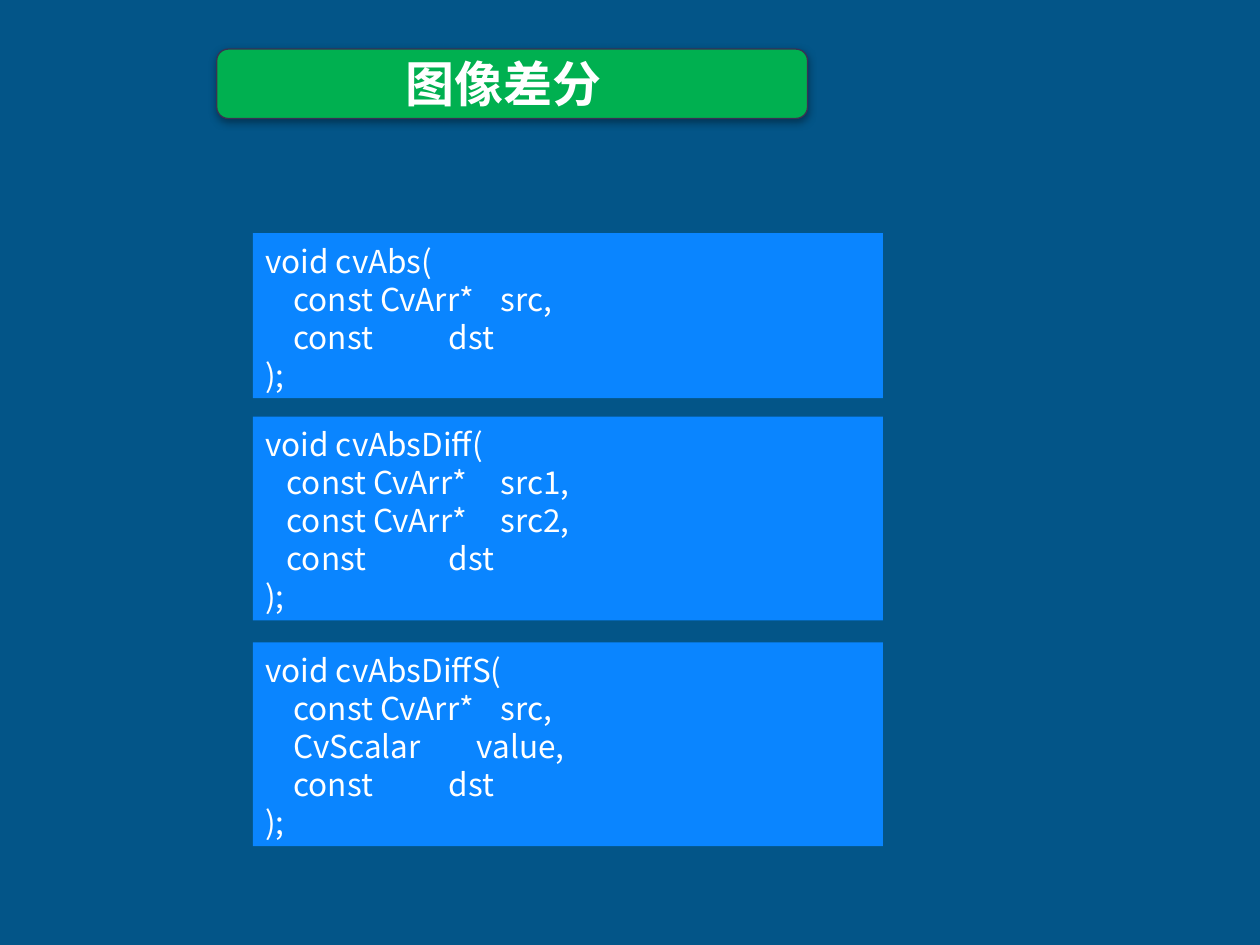
from lxml import etree
from pptx import Presentation
from pptx.dml.color import RGBColor
from pptx.enum.shapes import MSO_SHAPE
from pptx.enum.text import MSO_ANCHOR, PP_ALIGN
from pptx.oxml import parse_xml
from pptx.oxml.ns import nsdecls, qn
from pptx.util import Cm, Pt

RECT, ROUNDED = MSO_SHAPE.RECTANGLE, MSO_SHAPE.ROUNDED_RECTANGLE
TOP, MIDDLE = MSO_ANCHOR.TOP, MSO_ANCHOR.MIDDLE
LEFT, CENTER = PP_ALIGN.LEFT, PP_ALIGN.CENTER
FONT = "Noto Sans CJK SC"
BACKGROUND, GREEN, BLUE, WHITE = "035588", "00B050", "0A85FF", "FFFFFF"
OUTLINE = "3A3252"
SRC, DST, VALUE = 4.74, 3.7, 4.26

FUNCTIONS = [
    ("cvAbs", 4.7, 3.33, 0.57, [
        ("const CvArr*", "src,", SRC), ("const", "dst", DST)]),
    ("cvAbsDiff", 8.4, 4.11, 0.43, [
        ("const CvArr*", "src1,", SRC), ("const CvArr*", "src2,", SRC),
        ("const", "dst", DST)]),
    ("cvAbsDiffS", 12.95, 4.11, 0.57, [
        ("const CvArr*", "src,", SRC), ("CvScalar", "value,", VALUE),
        ("const", "dst", DST)]),
]


def color(value):
    return RGBColor.from_string(value)


def paint(s, value):
    s.fill.solid()
    s.fill.fore_color.rgb = color(value)


def add_run(p, text, size, bold=False):
    r = p.add_run()
    r.text = text
    values = {"name": FONT, "size": Pt(size), "bold": bold}
    for name, value in values.items():
        setattr(r.font, name, value)
    r.font.color.rgb = color(WHITE)
    etree.SubElement(r.font._element, qn("a:ea"), typeface=FONT)


def add_tabs(p, stops):
    tabs = etree.SubElement(p._p.get_or_add_pPr(), qn("a:tabLst"))
    for stop in stops:
        etree.SubElement(tabs, qn("a:tab"), pos=str(Cm(stop)), algn="l")


def add_box(s, kind, left, top, width, height, fill):
    sp = s.shapes.add_shape(kind, Cm(left), Cm(top), Cm(width), Cm(height))
    sp.shadow.inherit = False
    paint(sp, fill)
    sp.line.fill.background()
    return sp


def add_banner(s):
    sp = add_box(s, ROUNDED, 4.37, 0.99, 11.91, 1.4, GREEN)
    sp.line.color.rgb = color(OUTLINE)
    sp.line.width = Pt(0.75)
    effects = sp._element.spPr.find(qn("a:effectLst"))
    effects.append(parse_xml(
        f'<a:outerShdw {nsdecls("a")} blurRad="{Pt(5)}" dist="{Pt(1.6)}" '
        'dir="5400000" rotWithShape="0"><a:srgbClr val="000000">'
        '<a:alpha val="38000"/></a:srgbClr></a:outerShdw>'))


def add_title(s, text):
    sp = s.shapes.add_textbox(Cm(1.4), Cm(0.38), Cm(17.5), Cm(2.57))
    tf = sp.text_frame
    tf.word_wrap = True
    tf.vertical_anchor = MIDDLE
    p = tf.paragraphs[0]
    p.alignment = CENTER
    add_run(p, text, 28, True)


def add_function(s, name, top, height, indent, arguments):
    sp = add_box(s, RECT, 5.1, top, 12.7, height, BLUE)
    tf = sp.text_frame
    tf.vertical_anchor = TOP
    tf.margin_top = Cm(0.17)
    lines = [(f"void {name}(", [])]
    lines += [(f"\t{kind}\t{arg}", [indent, column])
              for kind, arg, column in arguments]
    lines.append((");", []))
    for i, (text, stops) in enumerate(lines):
        p = tf.add_paragraph() if i else tf.paragraphs[0]
        p.alignment = LEFT
        p.line_spacing = Pt(21.7)
        if stops:
            add_tabs(p, stops)
        add_run(p, text, 18)


def main():
    prs = Presentation()
    prs.slide_width, prs.slide_height = Cm(25.4), Cm(19.05)
    s = prs.slides.add_slide(prs.slide_layouts[6])
    paint(s.background, BACKGROUND)
    add_banner(s)
    add_title(s, "图像差分")
    for function in FUNCTIONS:
        add_function(s, *function)
    prs.save("out.pptx")


if __name__ == "__main__":
    main()
